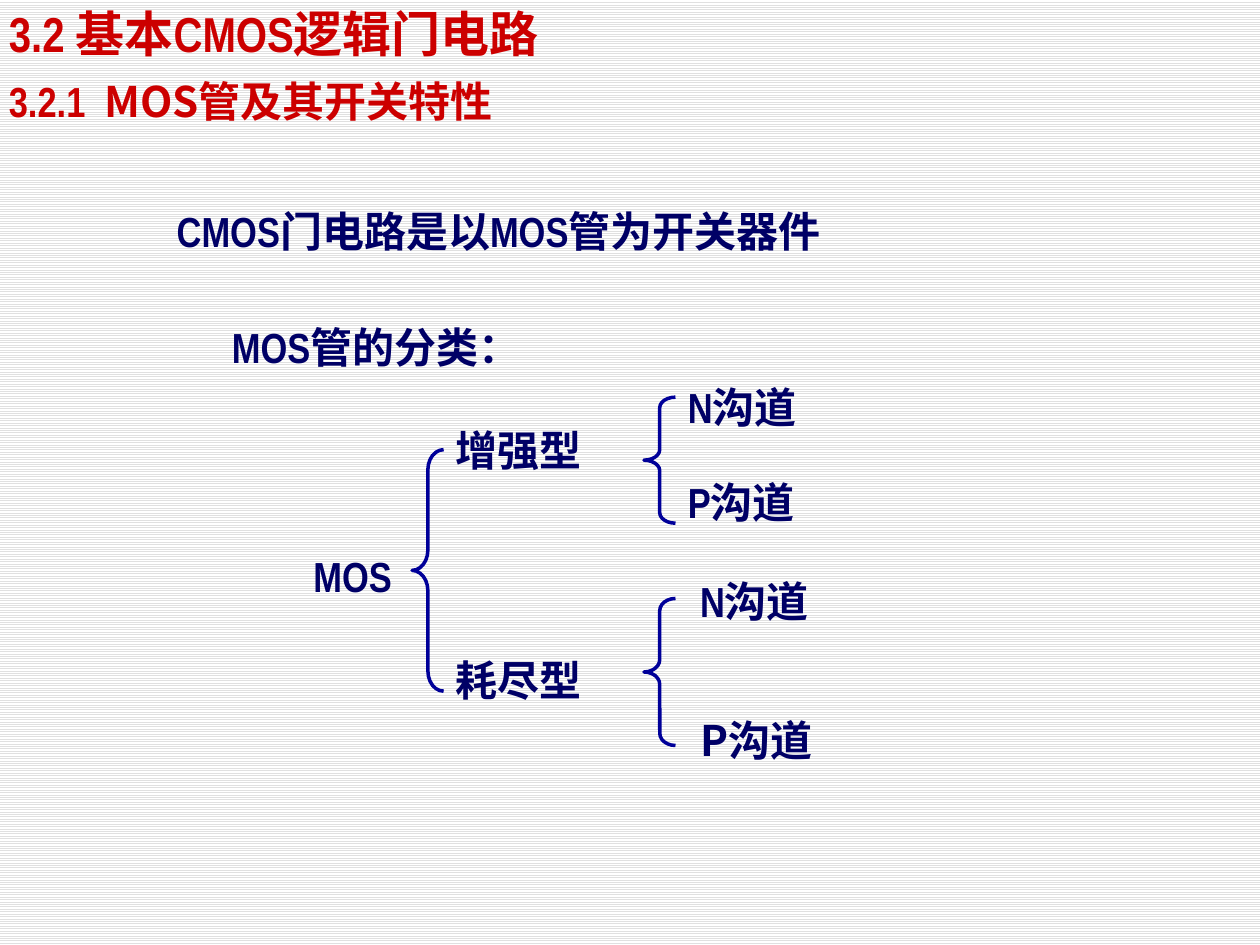
from pptx import Presentation
from pptx.dml.color import RGBColor
from pptx.enum import dml, shapes, text
from pptx.oxml.ns import qn
from pptx.util import Pt

NAVY = RGBColor(0x00, 0x00, 0x66)
BLUE = RGBColor(0x00, 0x00, 0x99)
RED = RGBColor(0xCC, 0x00, 0x00)
WHITE = RGBColor(0xFF, 0xFF, 0xFF)
STRIPE = RGBColor(0xE0, 0xE0, 0xE0)
LATIN, HAN = "Arial Narrow", "Noto Sans CJK SC"
LABEL_H = 42


def add_text(s, box, runs, color=NAVY, size=24, margins=(7.2, 3.6), spacing=None,
             anchor=text.MSO_ANCHOR.TOP, align=text.PP_ALIGN.LEFT):
    """Place one line of (wording, font) runs; margins are (sides, top and bottom)."""
    tf = s.shapes.add_textbox(*map(Pt, box)).text_frame
    tf.word_wrap = True
    tf.auto_size = text.MSO_AUTO_SIZE.SHAPE_TO_FIT_TEXT
    tf.vertical_anchor = anchor
    tf.margin_left = tf.margin_right = Pt(margins[0])
    tf.margin_top = tf.margin_bottom = Pt(margins[1])
    p = tf.paragraphs[0]
    p.alignment = align
    p.line_spacing = spacing
    p.font.size, p.font.bold = Pt(size), True
    p.font.color.rgb = color
    for wording, font in runs:
        r = p.add_run()
        r.text = wording
        r.font.name = font
        ea = r.font._element.makeelement(qn("a:ea"), {"typeface": HAN})
        r.font._element.find(qn("a:latin")).addnext(ea)


def add_label(s, x, y, w, runs, align=text.PP_ALIGN.LEFT):
    add_text(s, (x, y, w, LABEL_H), runs, spacing=1.2, align=align)


def add_brace(s, x, y, h, w=18):
    sp = s.shapes.add_shape(shapes.MSO_SHAPE.LEFT_BRACE, Pt(x), Pt(y), Pt(w), Pt(h))
    sp.shadow.inherit = False
    sp.fill.background()
    sp.line.color.rgb = BLUE
    sp.line.width = Pt(2)
    sp.adjustments[0] = h / 12 / w  # curl is a twelfth of the height


def add_headings(s, x, y):
    margins = (1.44, 0.72)
    add_text(s, (x, y, 412.5, 35), [("3.2 基本CMOS逻辑门电路", LATIN)],
             RED, 28, margins)
    add_text(s, (x, y + 41, 332.5, 31), [("3.2.1  ", LATIN), ("MOS管及其开关特性", HAN)],
             RED, 24, margins)


def add_statements(s, x, y):
    middle = text.MSO_ANCHOR.MIDDLE
    add_text(s, (x, y, 421, 29), [("CMOS", LATIN), ("门电路是以", HAN), ("MOS", LATIN),
             ("管为开关器件", HAN)], margins=(0, 0), anchor=middle)
    add_text(s, (x + 31.5, y + 66, 360, 29), [("MOS", LATIN), ("管的分类：", HAN)],
             margins=(0, 0), anchor=middle)


def add_branch(s, x, y, name, brace, channels):
    """Place a type name, its brace (dy, height) and its channels (letter, font, dx, dy)."""
    add_label(s, x, y, 158, [(name, HAN)])
    add_brace(s, x + 114.5, y + brace[0], brace[1])
    for letter, font, dx, dy in channels:
        add_label(s, x + dx, y + dy, 168, [(letter, font), ("沟道", HAN)])


def add_classification(s, x, y):
    add_label(s, x, y + 72, 138, [("MOS", LATIN)], text.PP_ALIGN.CENTER)
    add_brace(s, x + 103, y + 24, 138)
    add_branch(s, x + 121, y, "增强型", (-6, 72),
               [("N", LATIN, 132.5, -24), ("P", LATIN, 132.5, 30)])
    add_branch(s, x + 121, y + 132, "耗尽型", (-23, 84),
               [("N", LATIN, 139.5, -45.5), ("P", HAN, 139.5, 34)])


def main():
    prs = Presentation()
    prs.slide_width, prs.slide_height = Pt(720), Pt(540)
    s = prs.slides.add_slide(prs.slide_layouts[6])
    fill = s.background.fill
    fill.patterned()
    fill.pattern = dml.MSO_PATTERN.LIGHT_HORIZONTAL
    fill.fore_color.rgb, fill.back_color.rgb = STRIPE, WHITE
    add_headings(s, 3.6, 1.5)
    add_statements(s, 101, 117.5)
    add_classification(s, 132.5, 233)
    prs.save("out.pptx")


if __name__ == "__main__":
    main()
